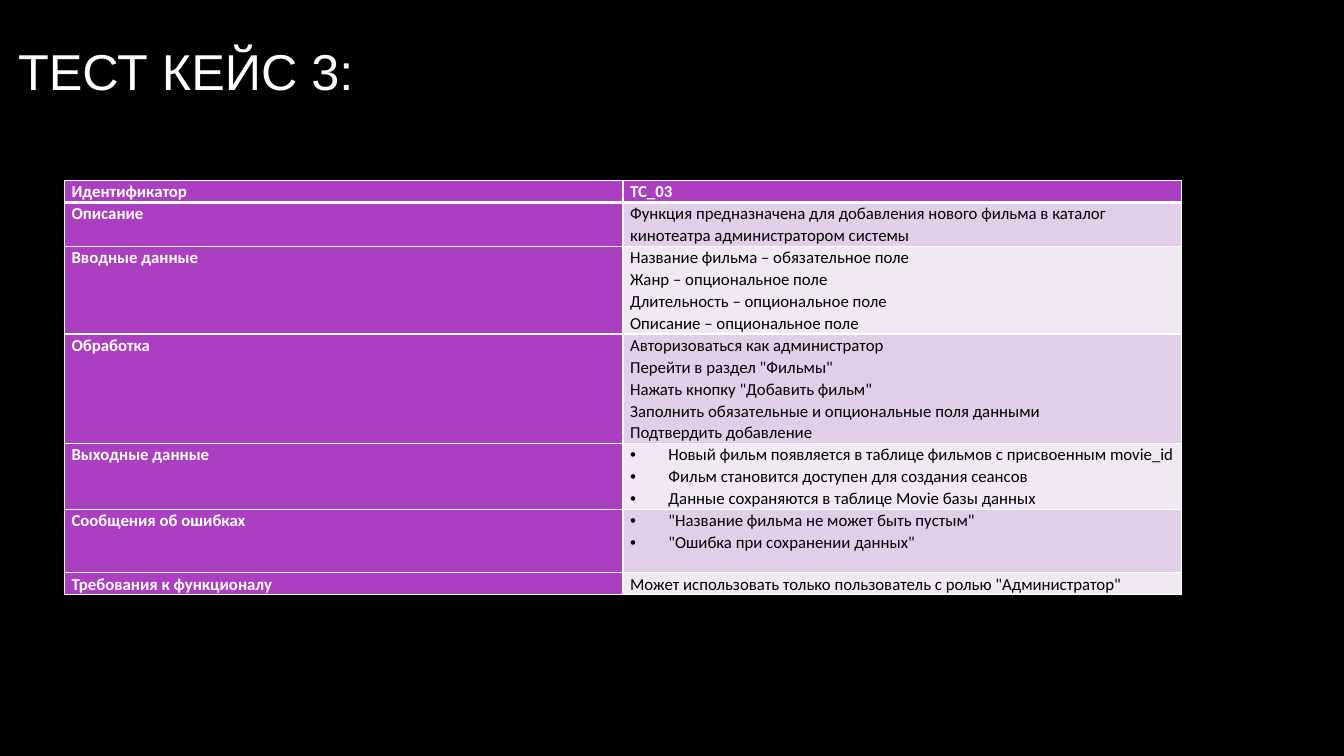
from lxml.etree import SubElement
from pptx import Presentation
from pptx.dml.color import RGBColor
from pptx.enum.text import MSO_ANCHOR, PP_ALIGN
from pptx.oxml.ns import qn
from pptx.util import Inches, Pt

COLORS = {
    "background": "000000",
    "white": "FFFFFF",
    "black": "000000",
    "purple": "AC3EC1",
    "band_dark": "E3CEE9",
    "band_light": "F1E8F4",
}

# Row label, lines of the value, number of bulleted lines, row height
TEST_CASE = [
    ("Идентификатор", ["TC_03"], 0, 0.2),
    ("Описание", ["Функция предназначена для добавления нового фильма в каталог "
                  "кинотеатра администратором системы"], 0, 0.42),
    ("Вводные данные", ["Название фильма – обязательное поле",
                        "Жанр – опциональное поле",
                        "Длительность – опциональное поле",
                        "Описание – опциональное поле"], 0, 0.85),
    ("Обработка", ["Авторизоваться как администратор",
                   'Перейти в раздел "Фильмы"',
                   'Нажать кнопку "Добавить фильм"',
                   "Заполнить обязательные и опциональные поля данными",
                   "Подтвердить добавление"], 0, 1.06),
    ("Выходные данные", ["Новый фильм появляется в таблице фильмов с присвоенным movie_id",
                         "Фильм становится доступен для создания сеансов",
                         "Данные сохраняются в таблице Movie базы данных"], 3, 0.63),
    ("Сообщения об ошибках", ['"Название фильма не может быть пустым"',
                              '"Ошибка при сохранении данных"'], 2, 0.63),
    ("Требования к функционалу",
     ['Может использовать только пользователь с ролью "Администратор"'], 0, 0.2),
]


def rgb(name):
    return RGBColor.from_string(COLORS[name])


def style_run(run, font, size, color, bold=False):
    run.font.name = font
    run.font.size = Pt(size)
    run.font.bold = bold
    run.font.color.rgb = rgb(color)


def add_title(slide, text):
    title = slide.shapes.title
    title.left, title.top = Inches(0.08), Inches(-0.1)
    title.width, title.height = Inches(11.08), Inches(1.59)
    title.text_frame.text = text
    title.text_frame.vertical_anchor = MSO_ANCHOR.MIDDLE
    heading = title.text_frame.paragraphs[0]
    heading.alignment = PP_ALIGN.LEFT
    style_run(heading.runs[0], "Arial", 36, "white")


def add_bullet(paragraph):
    properties = paragraph._p.get_or_add_pPr()
    properties.set("marL", str(Inches(0.38)))
    properties.set("indent", str(-Inches(0.38)))
    SubElement(properties, qn("a:buFont"), typeface="Arial")
    SubElement(properties, qn("a:buChar"), char="•")


def set_borders(cell, top, bottom):
    properties = cell._tc.get_or_add_tcPr()
    for side, width in (("L", 1), ("R", 1), ("T", top), ("B", bottom)):
        border = SubElement(properties, qn(f"a:ln{side}"), w=str(Pt(width)))
        fill = SubElement(border, qn("a:solidFill"))
        SubElement(fill, qn("a:srgbClr"), val=COLORS["white"])


def fill_cell(cell, lines, row, fill, color, bold, bullets=0):
    set_borders(cell, top=3 if row == 1 else 1, bottom=3 if row == 0 else 1)
    cell.fill.solid()
    cell.fill.fore_color.rgb = rgb(fill)
    cell.margin_left = cell.margin_right = Inches(0.07)
    cell.margin_top = cell.margin_bottom = 0
    cell.text_frame.text = "\n".join(lines)
    for number, paragraph in enumerate(cell.text_frame.paragraphs):
        paragraph.line_spacing = 1.07
        paragraph.space_after = Pt(8 if row < 2 else 0)
        if number < bullets:
            add_bullet(paragraph)
        style_run(paragraph.runs[0], "Calibri", 12, color, bold)


def add_test_case(slide):
    frame = slide.shapes.add_table(len(TEST_CASE), 2, Inches(0.64), Inches(1.79),
                                   Inches(11.08), Inches(3.99))
    table = frame.table
    table.horz_banding = False
    for column in table.columns:
        column.width = Inches(5.54)
    for row, (label, lines, bullets, height) in enumerate(TEST_CASE):
        table.rows[row].height = Inches(height)
        fill_cell(table.cell(row, 0), [label], row, "purple", "white", True)
        value = table.cell(row, 1)
        if row == 0:
            fill_cell(value, lines, row, "purple", "white", True)
        else:
            band = "band_dark" if row % 2 else "band_light"
            fill_cell(value, lines, row, band, "black", False, bullets)


def main():
    presentation = Presentation()
    presentation.slide_width = Inches(13.33)
    presentation.slide_height = Inches(7.5)
    slide = presentation.slides.add_slide(presentation.slide_layouts[5])
    slide.background.fill.solid()
    slide.background.fill.fore_color.rgb = rgb("background")
    add_title(slide, "ТЕСТ КЕЙС 3:")
    add_test_case(slide)
    presentation.save("out.pptx")


if __name__ == "__main__":
    main()
